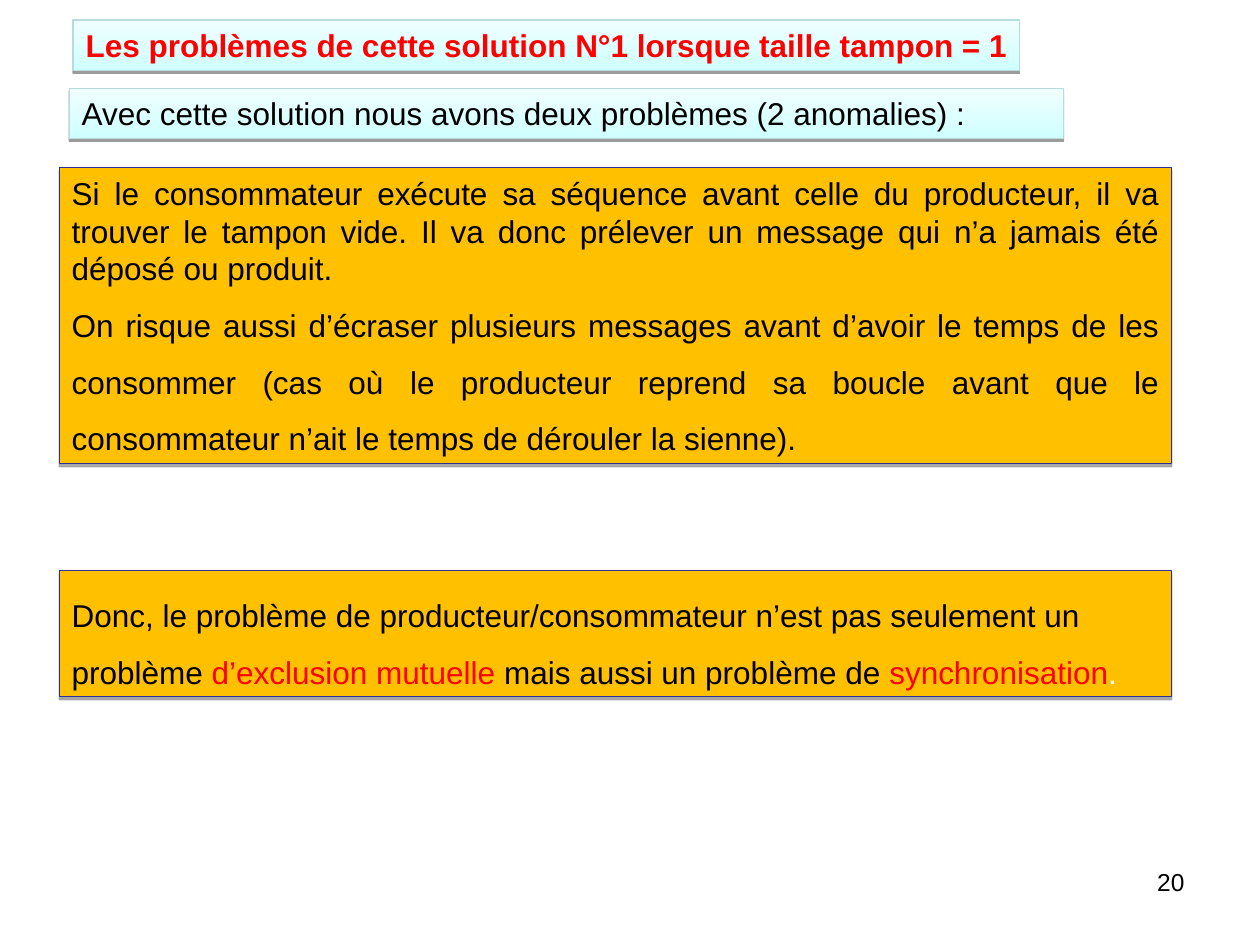
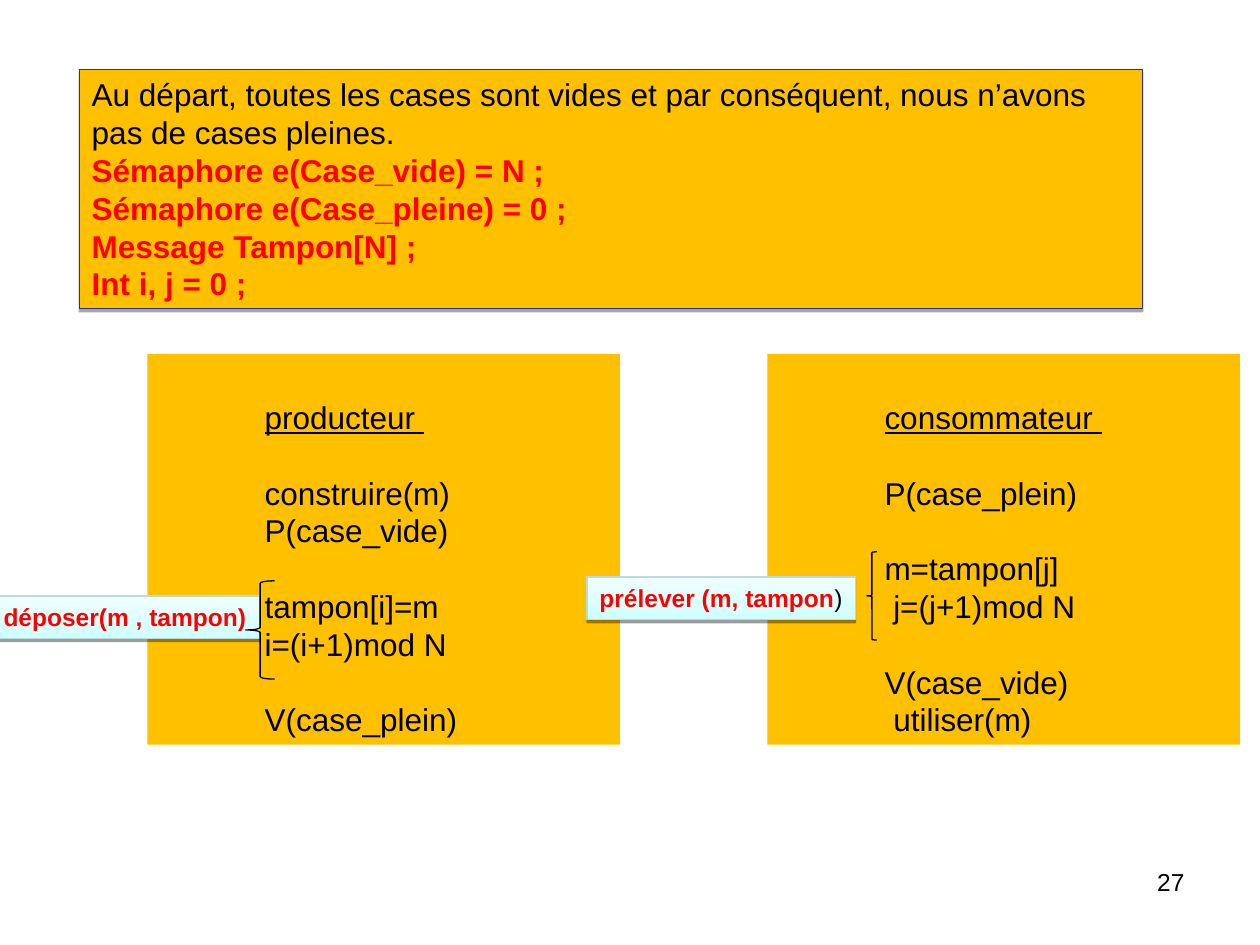
import lxml.etree
import pptx
import pptx.dml.color
import pptx.enum.shapes
import pptx.enum.text
import pptx.oxml.ns
import pptx.util

Inches = pptx.util.Inches
Pt = pptx.util.Pt
RECTANGLE = pptx.enum.shapes.MSO_SHAPE.RECTANGLE
ALIGN = pptx.enum.text.PP_ALIGN
color = pptx.dml.color.RGBColor.from_string
qn = pptx.oxml.ns.qn

BLACK, RED, WHITE = "000000", "FF0000", "FFFFFF"
AMBER, NAVY, TEAL = "FFC000", "2F2F98", "B6DCDF"
ICE_TOP, ICE_BOTTOM = "F0FFFF", "CFFFFF"
LINE_HEIGHT = 1.2


def style_box(shape, fill, border=None, shadow_opacity=0, shadow_distance=0):
    shape.shadow.inherit = False
    if fill == AMBER:
        shape.fill.solid()
        shape.fill.fore_color.rgb = color(AMBER)
    else:
        shape.fill.gradient()
        shape.fill.gradient_angle = 270
        for stop, shade in zip(shape.fill.gradient_stops, (ICE_TOP, ICE_BOTTOM)):
            stop.color.rgb = color(shade)
    if not border:
        shape.line.fill.background()
        return
    shape.line.color.rgb = color(border)
    shape.line.width = Pt(0.75)
    effects = shape._element.spPr.find(qn("a:effectLst"))
    shadow = lxml.etree.SubElement(
        effects, qn("a:outerShdw"), blurRad="0", dist=str(Pt(shadow_distance)),
        dir="5400000", rotWithShape="0")
    shadow_color = lxml.etree.SubElement(shadow, qn("a:srgbClr"), val=BLACK)
    lxml.etree.SubElement(shadow_color, qn("a:alpha"), val=str(shadow_opacity * 1000))


def write(shape, paragraphs, size=18, wrap=True, align=ALIGN.LEFT):
    frame = shape.text_frame
    frame.word_wrap = wrap
    frame.auto_size = pptx.enum.text.MSO_AUTO_SIZE.NONE
    frame.vertical_anchor = pptx.enum.text.MSO_ANCHOR.TOP
    frame.margin_left = frame.margin_right = Inches(0.1)
    frame.margin_top = frame.margin_bottom = Inches(0.05)
    frame.text = "\n".join(runs[0][0] for runs in paragraphs)
    for paragraph, runs in zip(frame.paragraphs, paragraphs):
        paragraph.alignment = align
        paragraph.line_spacing = Pt(size * LINE_HEIGHT)
        paragraph.space_before = Pt(0)
        for text, _, _ in runs[1:]:
            paragraph.add_run().text = text
        for run, (_, shade, bold) in zip(paragraph.runs, runs):
            run.font.name = "Arial"
            run.font.size = Pt(size)
            run.font.bold = bold
            run.font.color.rgb = color(shade)


ice = (ICE_TOP, TEAL, 38, 1.6)
framed_amber = (AMBER, NAVY, 35, 1.8)

deck = pptx.Presentation()
deck.slide_width, deck.slide_height = Inches(10), Inches(7.5)
problems = deck.slides.add_slide(deck.slide_layouts[5])
semaphores = deck.slides.add_slide(deck.slide_layouts[6])

for slide, number in ((problems, "20"), (semaphores, "27")):
    page = slide.shapes.add_textbox(Inches(7.17), Inches(6.83), Inches(2.33), Inches(0.52))
    write(page, [[(number, BLACK, False)]], size=14, align=ALIGN.RIGHT)

heading = problems.shapes.title
heading.left, heading.top = Inches(0.58), Inches(0.16)
heading.width, heading.height = Inches(7.51), Inches(0.4)
style_box(heading, *ice)
write(heading, [[("Les problèmes de cette solution N°1 lorsque taille tampon = 1", RED, True)]])
heading.text_frame.margin_right = Inches(0)

announcement = problems.shapes.add_shape(
    RECTANGLE, Inches(0.55), Inches(0.7), Inches(7.89), Inches(0.4))
style_box(announcement, *ice)
write(announcement, [[("Avec cette solution nous avons deux problèmes (2 anomalies) :", BLACK, False)]])

anomalies = problems.shapes.add_shape(
    RECTANGLE, Inches(0.47), Inches(1.33), Inches(8.83), Inches(2.35))
style_box(anomalies, *framed_amber)
write(anomalies, [
    [("Si le consommateur exécute sa séquence avant celle du producteur, il va trouver le "
      "tampon vide. Il va donc prélever un message qui n’a jamais été déposé ou produit.",
      BLACK, False)],
    [("On risque aussi d’écraser plusieurs messages avant d’avoir le temps de les consommer "
      "(cas où le producteur reprend sa boucle avant que le consommateur n’ait le temps de "
      "dérouler la sienne).", BLACK, False)],
], align=ALIGN.JUSTIFY)

conclusion = problems.shapes.add_shape(
    RECTANGLE, Inches(0.47), Inches(4.53), Inches(8.83), Inches(1))
style_box(conclusion, *framed_amber)
write(conclusion, [[
    ("Donc, le problème de producteur/consommateur n’est pas seulement un problème ", BLACK, False),
    ("d’exclusion mutuelle ", RED, False),
    ("mais aussi un problème de ", BLACK, False),
    ("synchronisation", RED, False),
    (".", WHITE, False),
]])
for spaced in (anomalies.text_frame.paragraphs[1], conclusion.text_frame.paragraphs[0]):
    spaced.line_spacing = Pt(18 * LINE_HEIGHT * 1.5)

declarations = semaphores.shapes.add_shape(
    RECTANGLE, Inches(0.63), Inches(0.55), Inches(8.44), Inches(1.9))
style_box(declarations, *framed_amber)
write(declarations, [
    [("Au départ, toutes les cases sont vides et par conséquent, nous n’avons pas de cases "
      "pleines.", BLACK, False)],
    [("Sémaphore e(Case_vide) = N ;", RED, True)],
    [("Sémaphore e(Case_pleine) = 0 ;", RED, True)],
    [("Message Tampon[N] ;", RED, True)],
    [("Int i, j = 0 ;", RED, True)],
])

processes = (
    (1.17, ("producteur ", "construire(m)", "P(case_vide)", "tampon[i]=m",
            "i=(i+1)mod N", "V(case_plein)"), (1, 3, 5)),
    (6.09, ("consommateur ", "P(case_plein)", "m=tampon[j]", " j=(j+1)mod N",
            "V(case_vide)", " utiliser(m)"), (1, 2, 4)),
)
for left, steps, group_starts in processes:
    process = semaphores.shapes.add_shape(
        RECTANGLE, Inches(left), Inches(2.81), Inches(3.75), Inches(3.1))
    style_box(process, AMBER)
    write(process, [[(step, BLACK, False)] for step in steps])
    process.text_frame.margin_left = Inches(0.93)
    process.text_frame.margin_top = Inches(0.35)
    process.text_frame.paragraphs[0].runs[0].font.underline = True
    for start in group_starts:
        process.text_frame.paragraphs[start].space_before = Pt(18 * LINE_HEIGHT)

operations = (
    (-0.07, 4.73, [("déposer(m , tampon)", RED, True)], (1.95, 4.61, 0.23, 0.78)),
    (4.66, 4.58, [("prélever (m, tampon", RED, True), (")", BLACK, False)],
     (6.88, 4.38, 0.08, 0.7)),
)
for left, top, name, brace_box in operations:
    operation = semaphores.shapes.add_shape(
        RECTANGLE, Inches(left), Inches(top), Inches(2.13), Inches(0.34))
    style_box(operation, *ice)
    write(operation, [name], size=14, wrap=False)
    brace = semaphores.shapes.add_shape(
        pptx.enum.shapes.MSO_SHAPE.LEFT_BRACE, *map(Inches, brace_box))
    brace.shadow.inherit = False
    brace.fill.background()
    brace.line.color.rgb = color(BLACK)
    brace.line.width = Pt(0.75)

deck.save("out.pptx")
